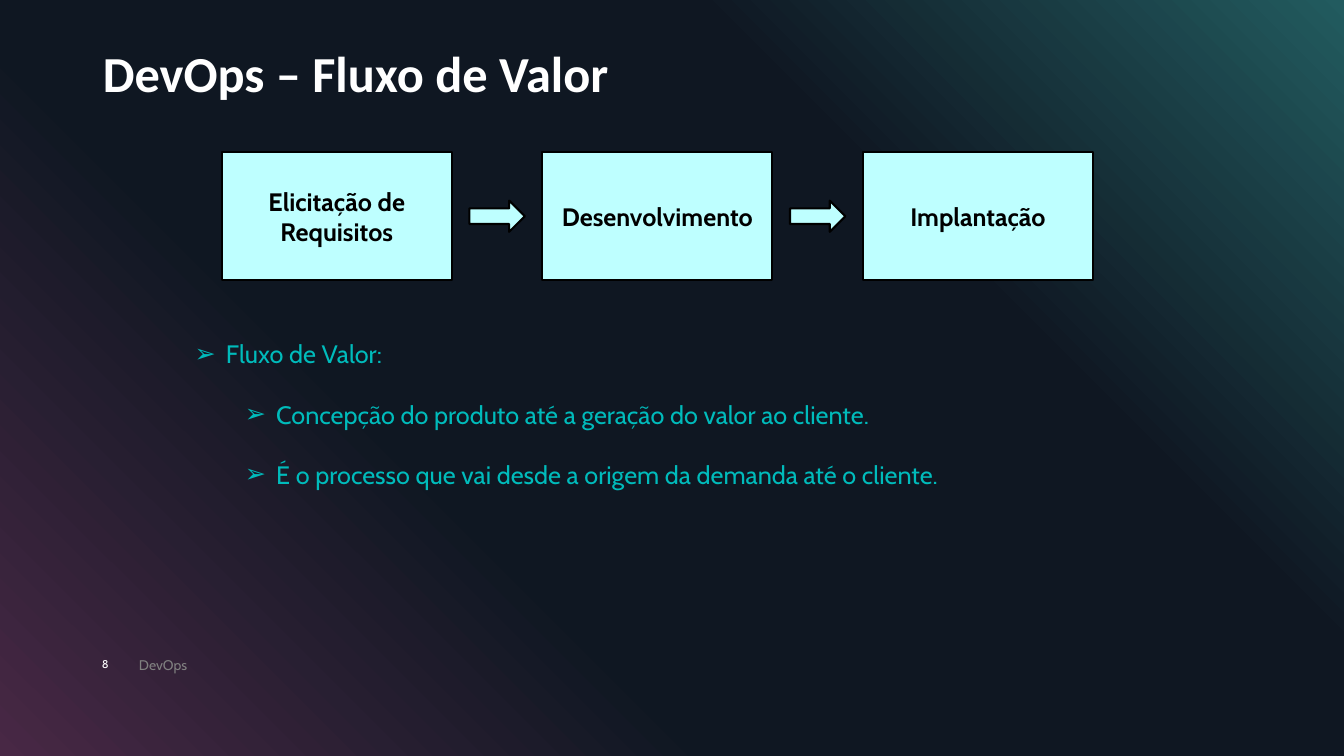
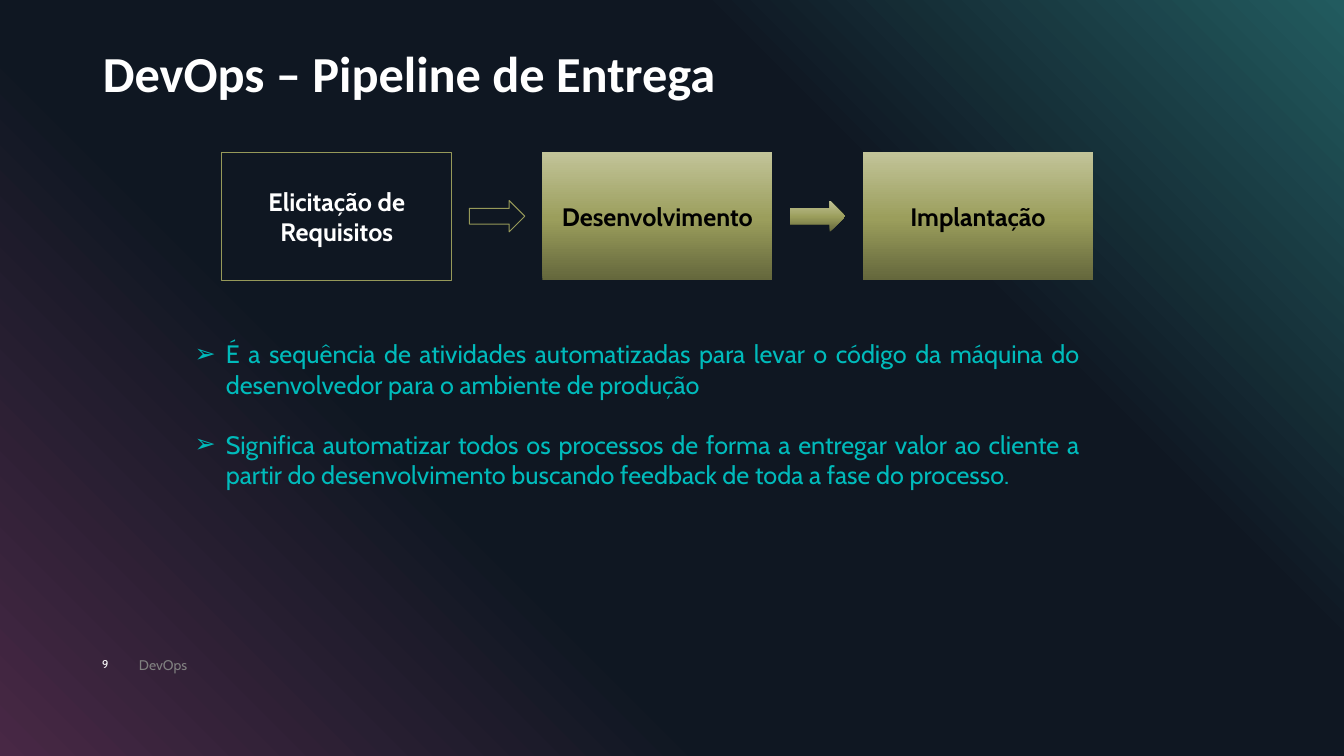
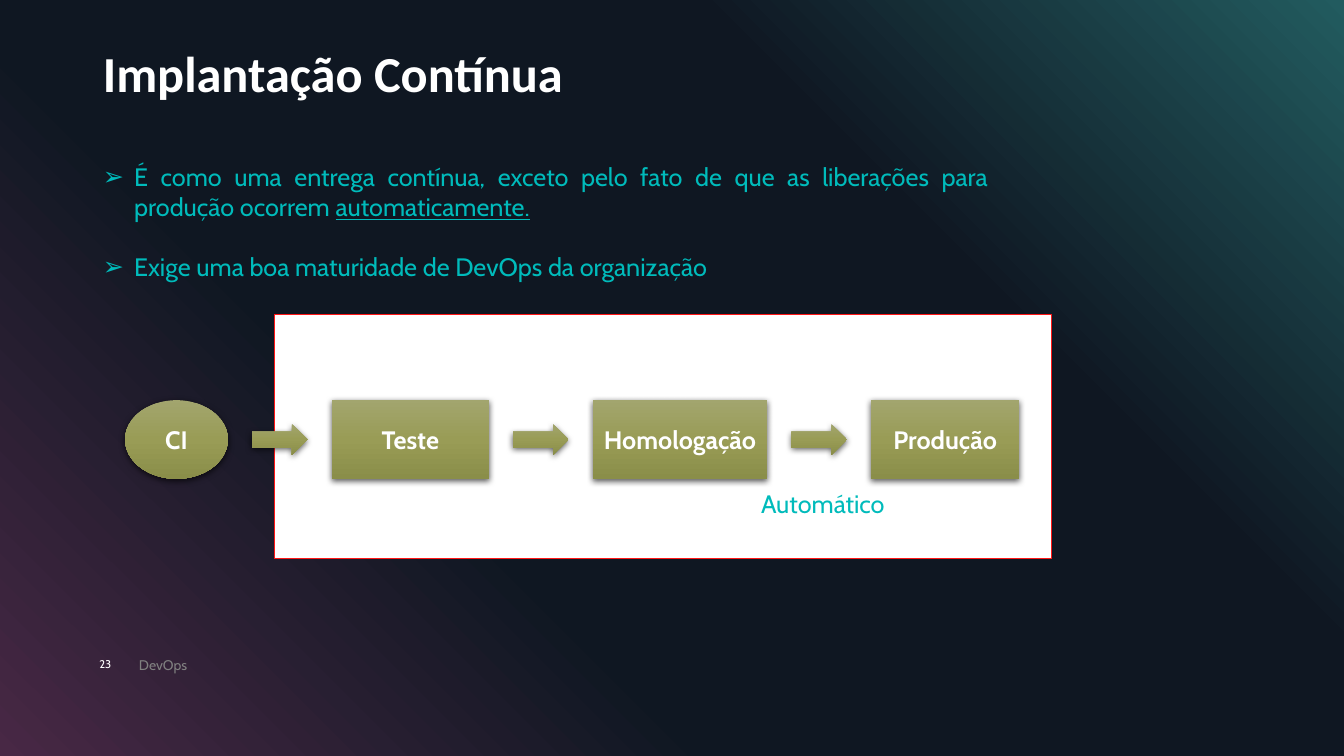
from dataclasses import dataclass
from typing import Optional

from lxml import etree
from pptx import Presentation
from pptx.dml.color import RGBColor
from pptx.enum.shapes import MSO_SHAPE as Preset
from pptx.enum.text import MSO_ANCHOR as Anchor, MSO_AUTO_SIZE as AutoSize, PP_ALIGN as Align
from pptx.oxml.ns import qn
from pptx.util import Inches, Pt

WHITE = RGBColor(0xFF, 0xFF, 0xFF)
BLACK = RGBColor(0x00, 0x00, 0x00)
GRAY = RGBColor(0x80, 0x80, 0x80)
TEAL = RGBColor(0x00, 0xBB, 0xBB)
AQUA = RGBColor(0xBE, 0xFF, 0xFF)
RED = RGBColor(0xFF, 0x16, 0x16)
OLIVE = RGBColor(0x96, 0x99, 0x59)

DUSK = ([(0, "482845"), (34, "0F1722"), (69, "0F1722"), (100, "225B5F")], 315)
OLIVE_DEEP = ([(0, "64673C"), (48, "9B9E5C"), (100, "C2C499")], 270)
OLIVE_SOFT = ([(0, "A2A56E"), (50, "999C56"), (100, "8A8E49")], 90)

SLIDE_WIDTH, SLIDE_HEIGHT = 13.33, 7.5
BODY_FONT = "Cabin"
TITLE_FONT = "Calibri"
TEXT_SIZE = 18
BLANK_LINE = 21.4
BULLET = "➢"
BULLET_HANG = 0.31
LEVEL_STEP = 0.5
ARROW_WIDTH, ARROW_HEIGHT = 0.55, 0.31


@dataclass
class Style:
    fill: Optional[RGBColor] = None
    gradient: Optional[tuple] = None
    line: Optional[RGBColor] = None
    weight: float = 0.75
    text: RGBColor = WHITE
    shadow: bool = False


BACKDROP = Style(gradient=DUSK)
SOLID = Style(fill=AQUA, line=BLACK, weight=1.5, text=BLACK)
OUTLINE = Style(line=OLIVE)
DEEP = Style(gradient=OLIVE_DEEP, text=BLACK)
SOFT = Style(gradient=OLIVE_SOFT, shadow=True)
PANEL = Style(fill=WHITE, line=RED, weight=1)

VALUE_STEPS = ["Elicitação de Requisitos", "Desenvolvimento", "Implantação"]
VALUE_GRID = {"left": 2.2, "top": 1.51, "height": 1.27, "spacing": 0.9}
VALUE_WIDTH = 2.28
LOWER_BODY = (1.83, 3.31, 8.98, 1.92)
UPPER_BODY = (0.92, 1.55, 8.98, 1.92)


def value_steps(styles):
    return [(name, VALUE_WIDTH, Preset.RECTANGLE, style)
            for name, style in zip(VALUE_STEPS, styles)]


SLIDES = [
    {
        "title": "DevOps – Fluxo de Valor",
        "number": "8",
        "body": LOWER_BODY,
        "bullets": [
            (0, ["Fluxo de Valor:"]),
            (1, ["Concepção do produto até a geração do valor ao cliente."]),
            (1, ["É o processo que vai desde a origem da demanda até o cliente."]),
        ],
        "steps": value_steps([SOLID, SOLID, SOLID]),
        "grid": VALUE_GRID,
    },
    {
        "title": "DevOps – Pipeline de Entrega",
        "number": "9",
        "body": LOWER_BODY,
        "bullets": [
            (0, ["É a sequência de atividades automatizadas para levar o código da máquina "
                 "do desenvolvedor para o ambiente de produção"]),
            (0, ["Significa automatizar todos os processos de forma a entregar valor ao "
                 "cliente a partir do desenvolvimento buscando feedback de toda a fase do "
                 "processo."]),
        ],
        "steps": value_steps([OUTLINE, DEEP, DEEP]),
        "grid": VALUE_GRID,
    },
    {
        "title": "Implantação Contínua",
        "number": "23",
        "body": UPPER_BODY,
        "bullets": [
            (0, ["É como uma entrega contínua, exceto pelo fato de que as liberações para "
                 "produção ocorrem ", "automaticamente."]),
            (0, ["Exige uma boa maturidade de DevOps da organização"]),
        ],
        "panel": (2.72, 3.12, 7.71, 2.42),
        "steps": [
            ("CI", 1.02, Preset.OVAL, SOFT),
            ("Teste", 1.56, Preset.RECTANGLE, SOFT),
            ("Homologação", 1.73, Preset.RECTANGLE, SOFT),
            ("Produção", 1.47, Preset.RECTANGLE, SOFT),
        ],
        "grid": {"left": 1.24, "top": 3.97, "height": 0.78, "spacing": 1.03},
        "label": ("Automático", (7.45, 4.8, 1.43, 0.4)),
    },
]


def inches(place):
    return [Inches(value) for value in place]


def move(box, place):
    box.left, box.top, box.width, box.height = inches(place)


def paint_gradient(box, gradient):
    stops, angle = gradient
    box.fill.gradient()
    box.fill.gradient_angle = 360 - angle
    stop_list = box._element.find(".//" + qn("a:gsLst"))
    for stop in list(stop_list):
        stop_list.remove(stop)
    for share, color in stops:
        stop = etree.SubElement(stop_list, qn("a:gs"), pos=str(share * 1000))
        etree.SubElement(stop, qn("a:srgbClr"), val=color)


def add_shadow(shape):
    effects = shape._element.spPr.find(qn("a:effectLst"))
    shadow = etree.SubElement(effects, qn("a:outerShdw"), blurRad=str(Pt(4.5)),
                              dist=str(Pt(1.5)), dir="5400000", rotWithShape="0")
    color = etree.SubElement(shadow, qn("a:srgbClr"), val="000000")
    etree.SubElement(color, qn("a:alpha"), val="63000")


def add_span(para, text, color, size=TEXT_SIZE, font=BODY_FONT, bold=False):
    span = para.add_run()
    span.text = text
    span.font.name = font
    span.font.size = Pt(size)
    span.font.bold = bold
    span.font.color.rgb = color
    return span


def add_box(page, preset, place, style, text=None):
    box = page.shapes.add_shape(preset, *inches(place))
    box.shadow.inherit = False
    if style.gradient:
        paint_gradient(box, style.gradient)
    elif style.fill is not None:
        box.fill.solid()
        box.fill.fore_color.rgb = style.fill
    else:
        box.fill.background()
    if style.line is not None:
        box.line.color.rgb = style.line
        box.line.width = Pt(style.weight)
    else:
        box.line.fill.background()
    if style.shadow:
        add_shadow(box)
    if text:
        box.text_frame.word_wrap = True
        box.text_frame.vertical_anchor = Anchor.MIDDLE
        para = box.text_frame.paragraphs[0]
        para.alignment = Align.CENTER
        add_span(para, text, style.text, bold=True)
    return box


def add_label(page, text, place, color, size, align=Align.LEFT, anchor=Anchor.MIDDLE, wrap=True):
    box = page.shapes.add_textbox(*inches(place))
    box.text_frame.word_wrap = wrap
    box.text_frame.vertical_anchor = anchor
    para = box.text_frame.paragraphs[0]
    para.alignment = align
    add_span(para, text, color, size)


def add_chain(page, steps, left, top, height, spacing):
    arrow_top = top + (height - ARROW_HEIGHT) / 2
    for index, (name, width, preset, style) in enumerate(steps):
        add_box(page, preset, (left, top, width, height), style, name)
        left += width + spacing
        if index < len(steps) - 1:
            arrow_left = left - (spacing + ARROW_WIDTH) / 2
            add_box(page, Preset.RIGHT_ARROW,
                    (arrow_left, arrow_top, ARROW_WIDTH, ARROW_HEIGHT), style)


def fill_title(box, text):
    frame = box.text_frame
    frame.auto_size = AutoSize.NONE
    frame.vertical_anchor = Anchor.MIDDLE
    para = frame.paragraphs[0]
    para.alignment = Align.LEFT
    para.line_spacing = 0.9
    add_span(para, text, WHITE, 36, TITLE_FONT, True)


def fill_bullets(box, place, bullets):
    move(box, place)
    frame = box.text_frame
    frame.auto_size = AutoSize.NONE
    for index, (level, texts) in enumerate(bullets):
        para = frame.add_paragraph() if index else frame.paragraphs[0]
        para.level = level
        para.alignment = Align.JUSTIFY
        para.space_before = Pt(BLANK_LINE if index else 0)
        properties = para._p.get_or_add_pPr()
        properties.set("marL", str(Inches(BULLET_HANG + level * LEVEL_STEP)))
        properties.set("indent", str(-Inches(BULLET_HANG)))
        etree.SubElement(properties, qn("a:buChar"), char=BULLET)
        for part, text in enumerate(texts):
            span = add_span(para, text, TEAL)
            if part:
                span.font.underline = True


def build_slide(deck, layout, content):
    page = deck.slides.add_slide(layout)
    fill_title(page.shapes.title, content["title"])
    fill_bullets(page.placeholders[1], content["body"], content["bullets"])
    add_label(page, "DevOps", (1.28, 6.43, 3.19, 0.33), GRAY, 10)
    add_label(page, content["number"], (0.85, 6.42, 0.39, 0.33), WHITE, 8, Align.CENTER)
    if "panel" in content:
        add_box(page, Preset.RECTANGLE, content["panel"], PANEL)
    add_chain(page, content["steps"], **content["grid"])
    if "label" in content:
        text, place = content["label"]
        add_label(page, text, place, TEAL, TEXT_SIZE, anchor=Anchor.TOP, wrap=False)
    return page


def set_backdrop(master, page):
    master.background.fill.solid()
    master.background.fill.fore_color.rgb = BLACK
    backdrop = add_box(page, Preset.RECTANGLE, (0, 0, SLIDE_WIDTH, SLIDE_HEIGHT), BACKDROP)
    master.shapes._spTree.insert(2, backdrop._element)


def main():
    deck = Presentation()
    deck.slide_width, deck.slide_height = Inches(SLIDE_WIDTH), Inches(SLIDE_HEIGHT)
    layout = deck.slide_layouts[1]
    move(layout.placeholders[0], (0.92, 0.4, 11.5, 0.71))
    pages = [build_slide(deck, layout, content) for content in SLIDES]
    set_backdrop(deck.slide_master, pages[0])
    deck.save("out.pptx")


if __name__ == "__main__":
    main()
